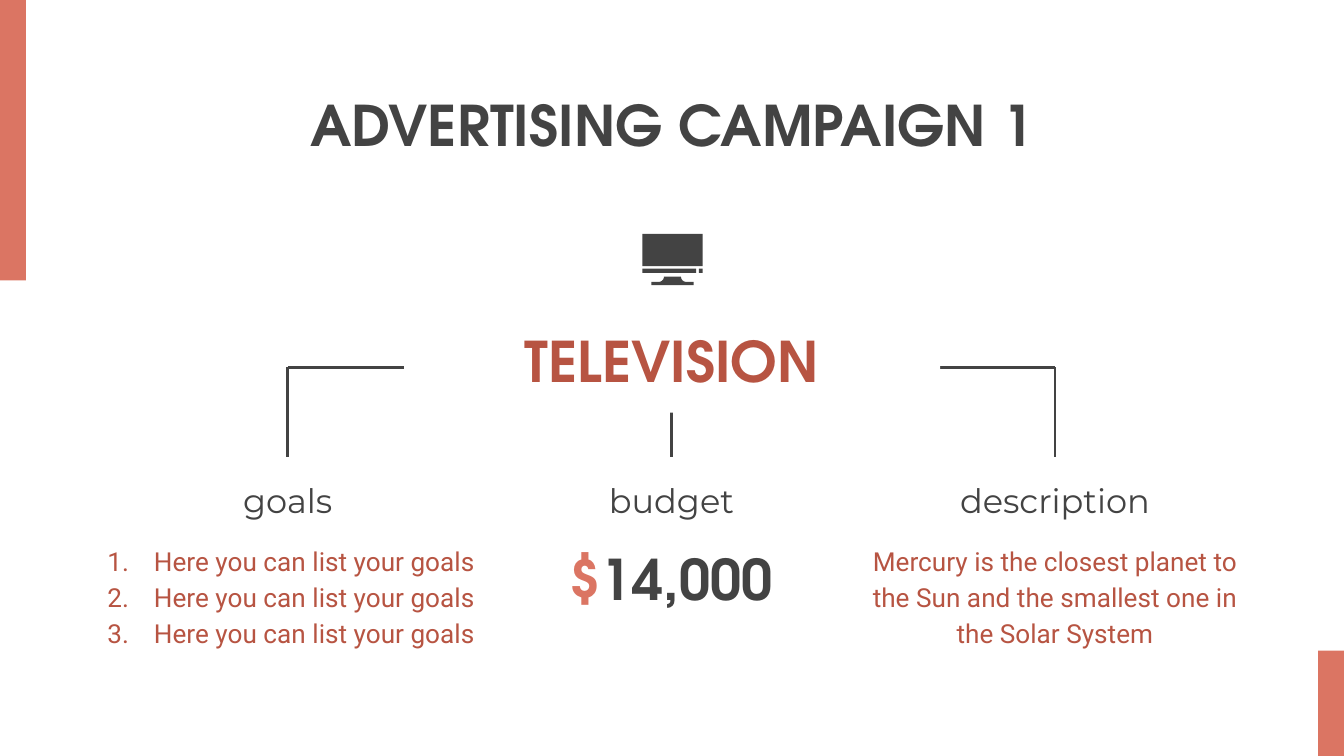
import math
from dataclasses import dataclass

from lxml import etree
from pptx import Presentation
from pptx.dml.color import RGBColor
from pptx.enum import shapes, text
from pptx.oxml.ns import qn
from pptx.util import Cm, Pt


@dataclass(frozen=True)
class Theme:
    coral: str = "DB7563"
    rust: str = "B75442"
    dark: str = "434343"
    white: str = "FFFFFF"
    display: str = "TeX Gyre Adventor"
    label: str = "Montserrat"
    body: str = "Roboto"
    display_size: int = 30
    label_size: int = 18
    body_size: int = 14
    line_width: float = 1.5


THEME = Theme()
DISPLAY = (THEME.display, THEME.display_size, True)
LABEL = (THEME.label, THEME.label_size, False)
BODY = (THEME.body, THEME.body_size, False)

# Content: each paragraph is a list of (text, colour) runs
TITLE = [[("ADVERTISING CAMPAIGN 1", THEME.dark)]]
CHANNEL = [[("TELEVISION", THEME.rust)]]
GOALS = [[("Here you can list your goals", THEME.rust)]] * 3
AMOUNT = [[("$", THEME.coral), ("14,000", THEME.dark)]]
DESCRIPTION = [[("Mercury is the closest planet to the Sun and the smallest "
                 "one in the Solar System", THEME.rust)]]
LABELS = ["goals", "budget", "description"]

# Layout in centimetres
WIDTH, HEIGHT = 25.4, 14.29
BAR_WIDTH = 0.49
BARS = [(0, 0, BAR_WIDTH, 5.3), (WIDTH - BAR_WIDTH, 12.3, BAR_WIDTH, 1.99)]
COLUMNS = [5.44 + 7.25 * column for column in range(3)]
BRANCH_TOP, BRANCH_BOTTOM = 6.94, 8.63
LABEL_TOP, LABEL_WIDTH, LABEL_HEIGHT = 8.86, 5.6, 1.09
BODY_TOP, BODY_WIDTH, BODY_HEIGHT = 9.97, 7.55, 2.7
GOALS_WIDTH = 8.1  # wide enough to keep each goal on one line
AMOUNT_WIDTH, AMOUNT_HEIGHT = 5.74, 1.93
SCREEN_PARTS = [(12.14, 4.42, 1.14, 0.61), (12.14, 5.08, 1.02, 0.08),
                (13.21, 5.08, 0.07, 0.08)]
STAND_CENTER, STAND_TOP, STAND_BOTTOM = 12.71, 5.23, 5.39
STAND_HALF, NECK_HALF, STAND_RADIUS = 0.4, 0.16, 0.1


def color(value):
    return RGBColor.from_string(value)


def fill_plain(shape, value):
    shape.shadow.inherit = False
    shape.fill.solid()
    shape.fill.fore_color.rgb = color(value)
    shape.line.fill.background()


def add_block(slide, box, value):
    shape = slide.shapes.add_shape(shapes.MSO_SHAPE.RECTANGLE, *map(Cm, box))
    fill_plain(shape, value)
    return shape


def add_branch(slide, start, end):
    line = slide.shapes.add_connector(
        shapes.MSO_CONNECTOR.STRAIGHT, *map(Cm, start + end))
    line.line.color.rgb = color(THEME.dark)
    line.line.width = Pt(THEME.line_width)
    etree.SubElement(line._element.spPr, qn("a:effectLst"))


def number(paragraph):
    """Turn a paragraph into an item of a numbered list."""
    properties = paragraph._p.get_or_add_pPr()
    properties.set("marL", str(Cm(1.27)))
    properties.set("indent", str(-Cm(0.88)))
    bullet_color = etree.SubElement(properties, qn("a:buClr"))
    etree.SubElement(bullet_color, qn("a:srgbClr"), val=THEME.rust)
    etree.SubElement(properties, qn("a:buFont"), typeface=THEME.body)
    etree.SubElement(properties, qn("a:buAutoNum"), type="arabicPeriod")


def write(shape, paragraphs, style, middle=True, spacing=1.0, numbered=False):
    font_name, size, bold = style
    frame = shape.text_frame
    frame.word_wrap = True
    frame.auto_size = text.MSO_AUTO_SIZE.NONE
    frame.vertical_anchor = (text.MSO_ANCHOR.MIDDLE if middle
                             else text.MSO_ANCHOR.TOP)
    frame.margin_left = frame.margin_right = Cm(0.25)
    frame.margin_top = frame.margin_bottom = Cm(0.25)
    for index, runs in enumerate(paragraphs):
        paragraph = frame.add_paragraph() if index else frame.paragraphs[0]
        paragraph.line_spacing = spacing
        if numbered:
            number(paragraph)
        paragraph.alignment = (text.PP_ALIGN.LEFT if numbered
                               else text.PP_ALIGN.CENTER)
        for content, value in runs:
            run = paragraph.add_run()
            run.text = content
            run.font.name = font_name
            run.font.size = Pt(size)
            run.font.bold = bold
            run.font.color.rgb = color(value)


def add_column_text(slide, center, top, width, height, *content, **options):
    box = (center - width / 2, top, width, height)
    write(slide.shapes.add_textbox(*map(Cm, box)), *content, **options)


def add_stand(slide):
    """Draw the monitor's foot, whose neck flares out in quarter circles."""
    angles = [math.radians(step * 15) for step in range(7)]
    half = [(NECK_HALF + STAND_RADIUS * (1 - math.cos(angle)),
             STAND_TOP + STAND_RADIUS * math.sin(angle)) for angle in angles]
    half += [(STAND_HALF, STAND_TOP + STAND_RADIUS), (STAND_HALF, STAND_BOTTOM)]
    right = [(Cm(STAND_CENTER + x), Cm(y)) for x, y in half]
    left = [(Cm(STAND_CENTER - x), Cm(y)) for x, y in reversed(half)]
    builder = slide.shapes.build_freeform(*right[0])
    builder.add_line_segments(right[1:] + left, close=True)
    fill_plain(builder.convert_to_shape(), THEME.dark)


def main():
    presentation = Presentation()
    presentation.slide_width, presentation.slide_height = Cm(WIDTH), Cm(HEIGHT)
    slide = presentation.slides.add_slide(presentation.slide_layouts[5])

    for bar in BARS:
        add_block(slide, bar, THEME.coral)

    title = slide.shapes.title
    title.left, title.top = Cm(2.9), Cm(1.35)
    title.width, title.height = Cm(19.6), Cm(1.98)
    write(title, TITLE, DISPLAY)

    add_branch(slide, (COLUMNS[0], BRANCH_TOP), (COLUMNS[-1], BRANCH_TOP))
    for center, label in zip(COLUMNS, LABELS):
        add_branch(slide, (center, BRANCH_TOP), (center, BRANCH_BOTTOM))
        add_column_text(slide, center, LABEL_TOP, LABEL_WIDTH, LABEL_HEIGHT,
                        [[(label, THEME.dark)]], LABEL, spacing=1.15)

    goals, budget, description = COLUMNS
    add_column_text(slide, goals, BODY_TOP, GOALS_WIDTH, BODY_HEIGHT,
                    GOALS, BODY, middle=False, spacing=1.15, numbered=True)
    add_column_text(slide, budget, BODY_TOP, AMOUNT_WIDTH, AMOUNT_HEIGHT,
                    AMOUNT, DISPLAY)
    add_column_text(slide, description, BODY_TOP, BODY_WIDTH, BODY_HEIGHT,
                    DESCRIPTION, BODY, middle=False, spacing=1.15)

    channel = add_block(slide, (7.64, 5.82, 10.13, 1.98), THEME.white)
    write(channel, CHANNEL, DISPLAY)

    for part in SCREEN_PARTS:
        add_block(slide, part, THEME.dark)
    add_stand(slide)

    presentation.save("out.pptx")


if __name__ == "__main__":
    main()
